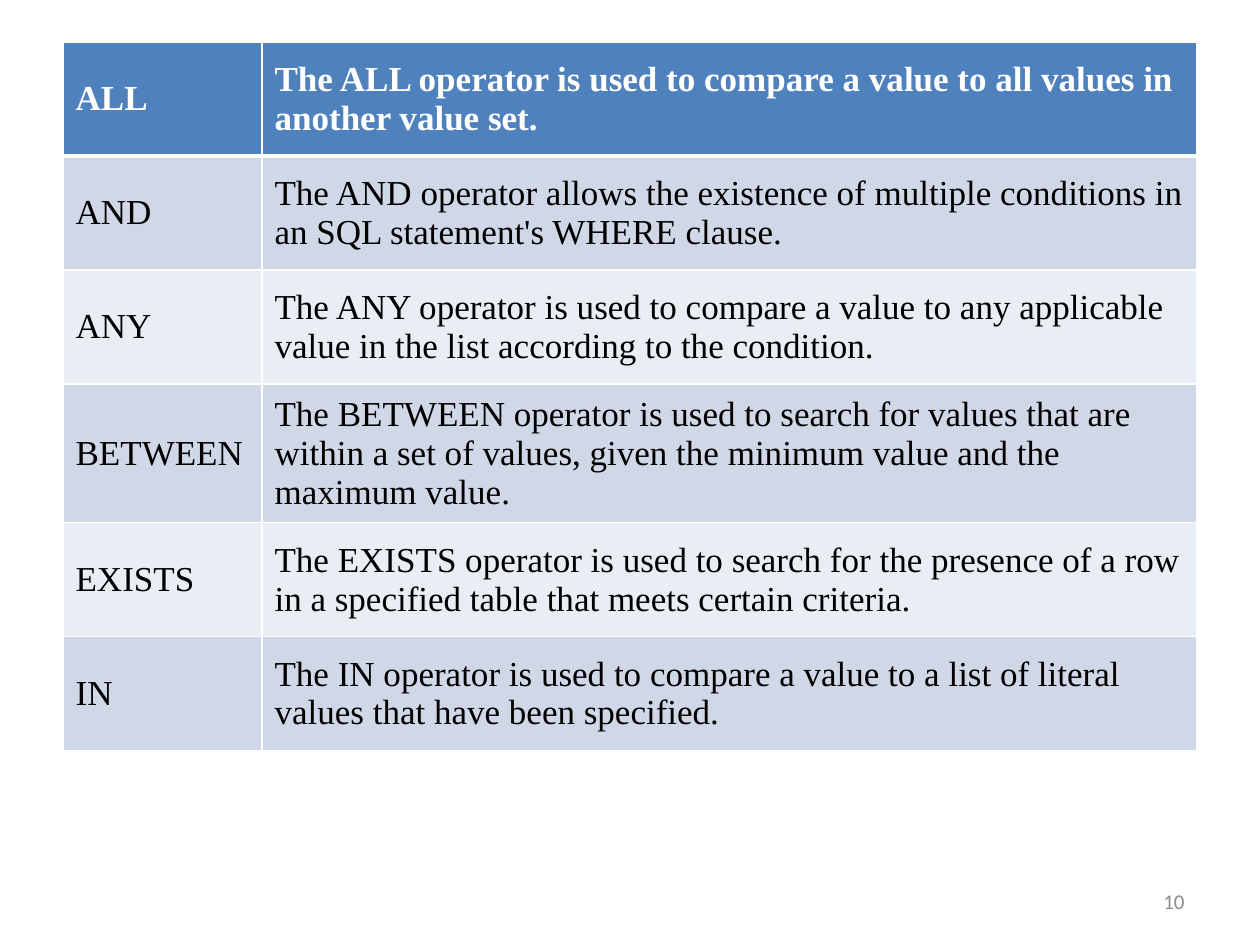
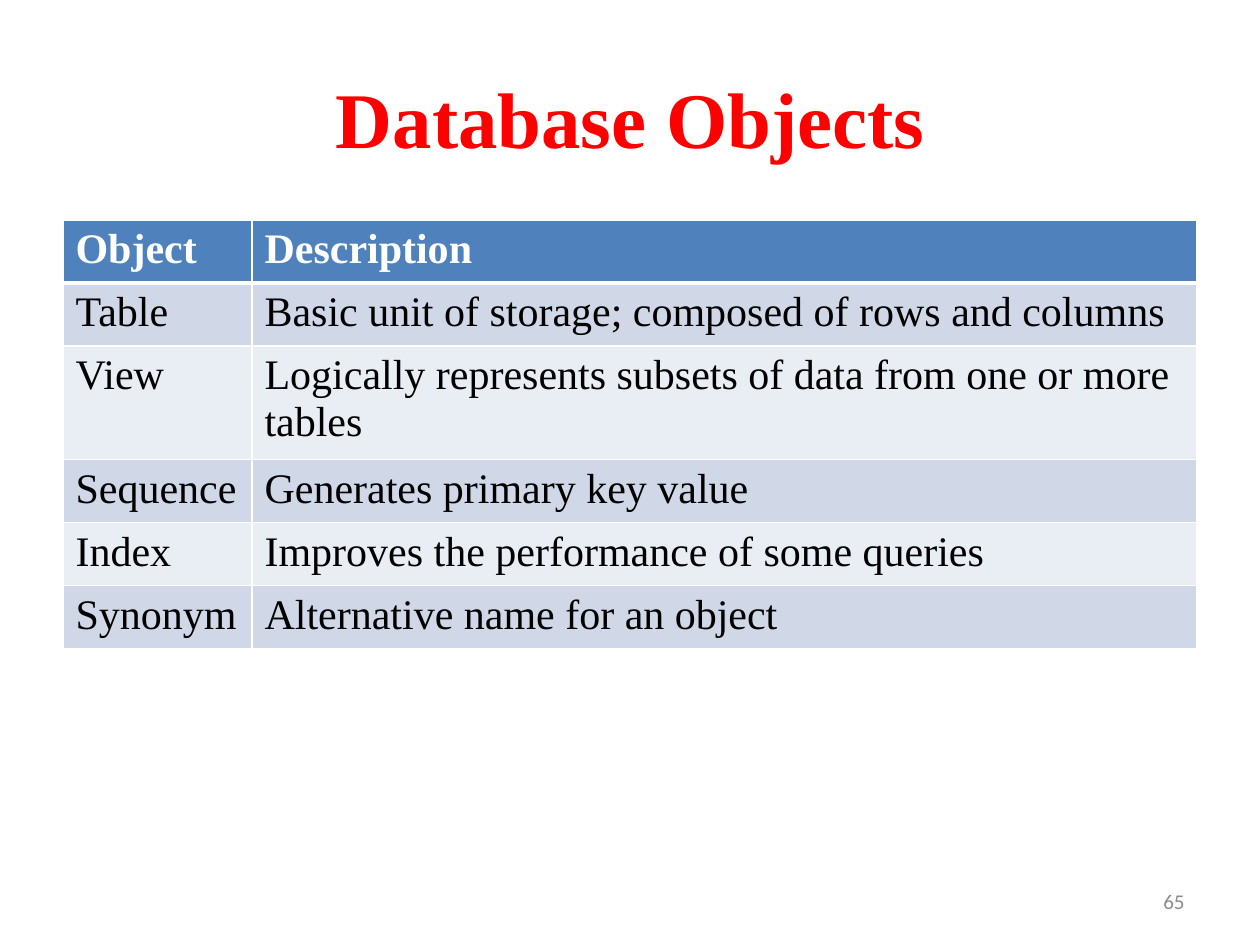
from pptx import Presentation
from pptx.dml.color import RGBColor
from pptx.enum.text import MSO_ANCHOR, PP_ALIGN
from pptx.oxml import parse_xml
from pptx.oxml.ns import nsdecls
from pptx.util import Emu, Pt

TOP, MIDDLE = MSO_ANCHOR.TOP, MSO_ANCHOR.MIDDLE
CENTER, RIGHT = PP_ALIGN.CENTER, PP_ALIGN.RIGHT
BLANK_LAYOUT = 6
SERIF = "Times New Roman"
WHITE, BLACK = "FFFFFF", "000000"
HEADER_FILL = "4F81BD"
BAND_FILLS = ("E9EDF4", "D0D8E8")
TITLE = {"name": SERIF, "size": 45, "bold": True, "color": "FF0000"}
NUMBER = {"name": "Calibri", "size": 12, "bold": False, "color": "8C8C8C"}
HEADER = {"name": SERIF, "bold": True, "color": WHITE}
BODY = {"name": SERIF, "bold": False, "color": BLACK}
LEFT, WIDTH = 63, 1134

OPERATORS = [
    ("ALL", "The ALL operator is used to compare a value to all values in another value set."),
    ("AND", "The AND operator allows the existence of multiple conditions in an SQL "
            "statement's WHERE clause."),
    ("ANY", "The ANY operator is used to compare a value to any applicable value in the "
            "list according to the condition."),
    ("BETWEEN", "The BETWEEN operator is used to search for values that are within a set "
                "of values, given the minimum value and the maximum value."),
    ("EXISTS", "The EXISTS operator is used to search for the presence of a row in a "
               "specified table that meets certain criteria."),
    ("IN", "The IN operator is used to compare a value to a list of literal values that "
           "have been specified."),
]
DATABASE_OBJECTS = [
    ("Object", "Description"),
    ("Table", "Basic unit of storage; composed of rows and columns"),
    ("View", "Logically represents subsets of data from one or more tables"),
    ("Sequence", "Generates primary key value"),
    ("Index", "Improves the performance of some queries"),
    ("Synonym", "Alternative name for an object"),
]


def px(length):
    """Turn pixels into EMU."""
    return Emu(round(length * 914400 / 126))


def rgb(value):
    """Turn a hex string into a colour."""
    return RGBColor.from_string(value)


def write(para, text, style):
    """Write one styled span into a paragraph."""
    span = para.add_run()
    span.text = text
    values = dict(style, size=Pt(style["size"]))
    span.font.color.rgb = rgb(values.pop("color"))
    for name, value in values.items():
        setattr(span.font, name, value)


def add_text(page, text, place, style, align):
    """Add a vertically centred text box."""
    box = page.shapes.add_textbox(*map(px, place))
    frame = box.text_frame
    for name, value in {"word_wrap": True, "vertical_anchor": MIDDLE}.items():
        setattr(frame, name, value)
    para = frame.paragraphs[0]
    para.alignment = align
    write(para, text, style)


def add_borders(cell, row):
    """Draw white cell borders, with a thick rule below the header."""
    widths = {"L": 1, "R": 1, "T": 3 if row == 1 else 1, "B": 3 if row == 0 else 1}
    properties = cell._tc.get_or_add_tcPr()
    for side, width in widths.items():
        properties.append(parse_xml(
            f'<a:ln{side} {nsdecls("a")} w="{Pt(width)}"><a:solidFill>'
            f'<a:srgbClr val="{WHITE}"/></a:solidFill></a:ln{side}>'))


def add_banded_table(page, rows, top, first_width, row_height, size, anchor):
    """Add a two-column table with a header row and banded body."""
    place = (LEFT, top, WIDTH, row_height * len(rows))
    table = page.shapes.add_table(len(rows), 2, *map(px, place)).table
    for column, width in zip(table.columns, (first_width, WIDTH - first_width)):
        column.width = px(width)
    for row, texts in enumerate(rows):
        table.rows[row].height = px(row_height)
        for column, text in enumerate(texts):
            cell = table.cell(row, column)
            add_borders(cell, row)
            cell.fill.solid()
            cell.fill.fore_color.rgb = rgb(BAND_FILLS[row % 2] if row else HEADER_FILL)
            cell.vertical_anchor = anchor
            write(cell.text_frame.paragraphs[0], text, dict(BODY if row else HEADER, size=size))


def add_page(deck, number):
    """Add a blank page with its number at the bottom right."""
    page = deck.slides.add_slide(deck.slide_layouts[BLANK_LAYOUT])
    add_text(page, str(number), (903, 876, 294, 50), NUMBER, RIGHT)
    return page


def main():
    """Build both pages and save the deck."""
    deck = Presentation()
    deck.slide_width, deck.slide_height = px(1260), px(945)

    operators = add_page(deck, 10)
    add_banded_table(operators, OPERATORS, 42, 199, 114, 20, MIDDLE)

    objects = add_page(deck, 65)
    add_text(objects, "Database Objects", (LEFT, 38, WIDTH, 157), TITLE, CENTER)
    add_banded_table(objects, DATABASE_OBJECTS, 220, 189, 52, 24, TOP)

    deck.save("out.pptx")


if __name__ == "__main__":
    main()
